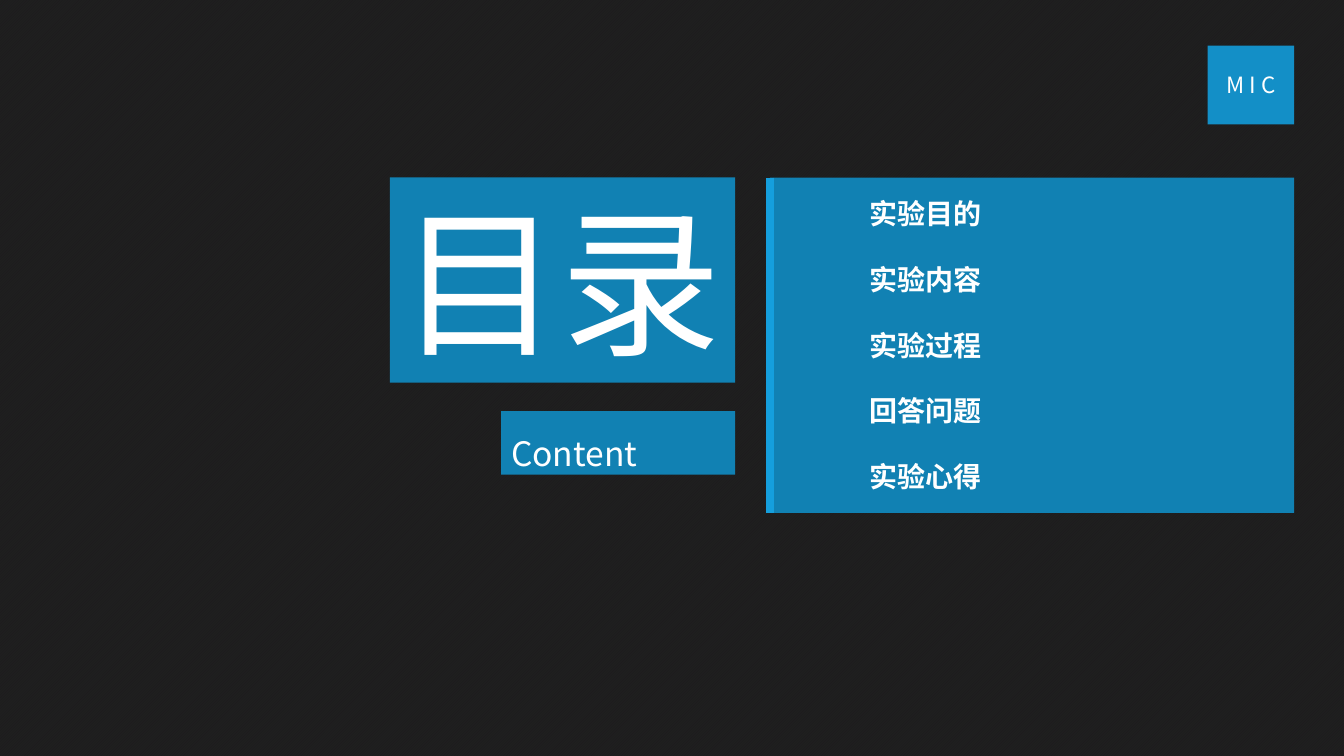
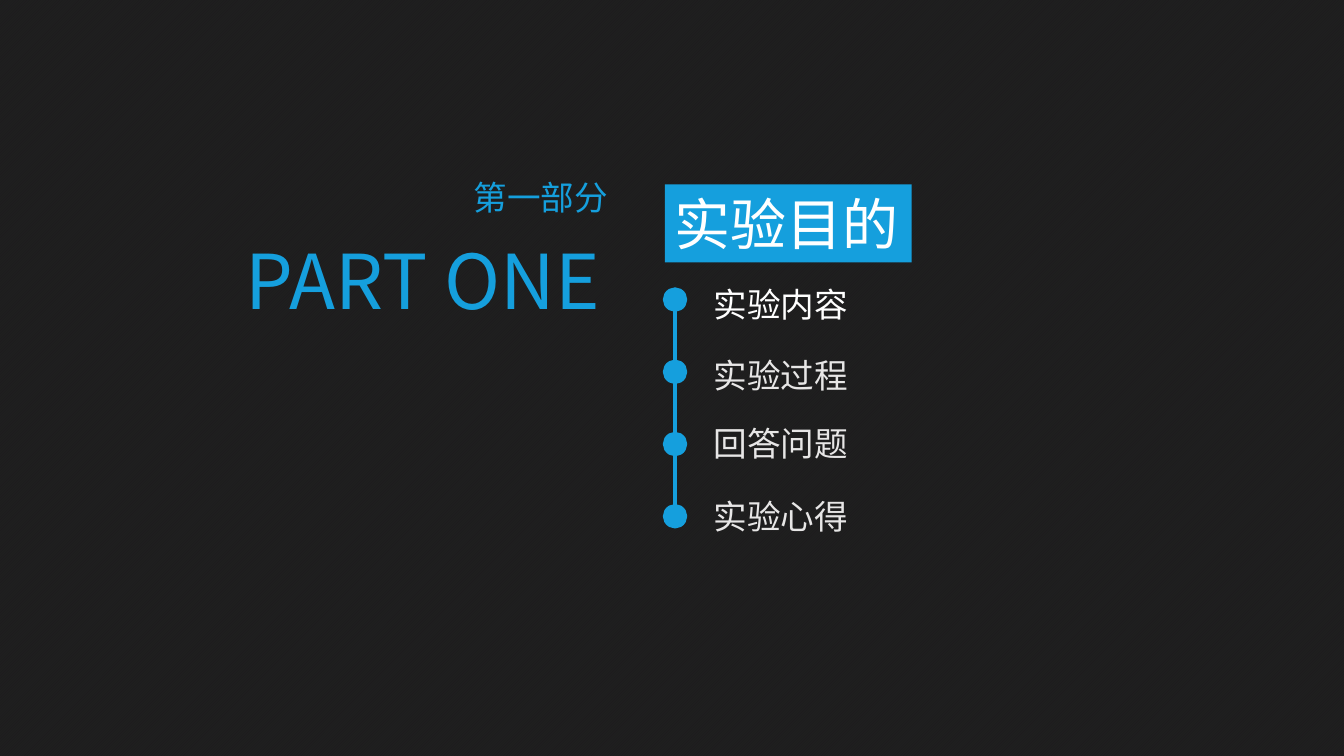
"""Builds a dark agenda slide and a section slide with a topic timeline."""
from dataclasses import dataclass

from lxml.etree import SubElement
from pptx import Presentation
from pptx.dml.color import RGBColor
from pptx.enum.dml import MSO_PATTERN as Pattern
from pptx.enum.shapes import MSO_CONNECTOR as Connector, MSO_SHAPE as Preset
from pptx.enum.text import MSO_ANCHOR as Anchor, PP_ALIGN as Align
from pptx.oxml.ns import qn
from pptx.util import Pt

FONT = "Noto Sans CJK SC"
WHITE, PALE, BLACK = "FFFFFF", "E7E6E6", "000000"
ACCENT, PANEL, BADGE = "159FDD", "1181B3", "138FC7"
PATTERN_FORE, PATTERN_BACK = "BFBFBF", "DDDCE2"
PAGE_WIDTH, PAGE_HEIGHT = 960, 540
SCRIM_OPACITY = 86


@dataclass(frozen=True)
class Frame:
    left: float
    top: float
    width: float
    height: float

    def lengths(self) -> tuple:
        return Pt(self.left), Pt(self.top), Pt(self.width), Pt(self.height)


@dataclass(frozen=True)
class Topic:
    label: str
    top: float
    color: str = PALE


AGENDA = ("实验目的", "实验内容", "实验过程", "回答问题", "实验心得")
AGENDA_TOP, AGENDA_PITCH = 136.8, 47
TOPICS = (
    Topic("实验内容", 199.4, WHITE),
    Topic("实验过程", 249.8),
    Topic("回答问题", 298.8),
    Topic("实验心得", 350.6),
)
DOT_LEFT, DOT_TOP, DOT_SIZE, DOT_PITCH = 475, 206.8, 14.4, 51.6


def rgb(color: str) -> RGBColor:
    return RGBColor.from_string(color)


def write(box, text: str, *, size: float, color: str = WHITE, bold: bool = False,
          align=Align.LEFT, anchor=Anchor.TOP, spacing: float = 1.0,
          wrap: bool = False) -> None:
    frame = box.text_frame
    frame.word_wrap = wrap
    frame.vertical_anchor = anchor
    para = frame.paragraphs[0]
    para.alignment = align
    para.line_spacing = spacing
    span = para.add_run()
    span.text = text
    span.font.size = Pt(size)
    span.font.bold = bold
    span.font.name = FONT
    span.font.color.rgb = rgb(color)
    SubElement(span.font._element, qn("a:ea"), typeface=FONT)


def add_label(page, frame: Frame, text: str, **style) -> None:
    write(page.shapes.add_textbox(*frame.lengths()), text, **style)


def add_block(page, frame: Frame, fill: str, preset=Preset.RECTANGLE, outline: float = 0):
    block = page.shapes.add_shape(preset, *frame.lengths())
    block.shadow.inherit = False
    block.fill.solid()
    block.fill.fore_color.rgb = rgb(fill)
    if outline:
        block.line.color.rgb = rgb(fill)
        block.line.width = Pt(outline)
    else:
        block.line.fill.background()
    return block


def add_vertical_line(page, x: float, top: float, bottom: float, width: float) -> None:
    line = page.shapes.add_connector(Connector.STRAIGHT, Pt(x), Pt(top), Pt(x), Pt(bottom))
    line.line.color.rgb = rgb(ACCENT)
    line.line.width = Pt(width)
    SubElement(line._element.spPr, qn("a:effectLst"))


def style_master(deck) -> None:
    fill = deck.slide_master.background.fill
    fill.patterned()
    fill.pattern = Pattern.LIGHT_UPWARD_DIAGONAL
    fill.fore_color.rgb = rgb(PATTERN_FORE)
    fill.back_color.rgb = rgb(PATTERN_BACK)


def add_page(deck):
    page = deck.slides.add_slide(deck.slide_layouts[6])
    scrim = add_block(page, Frame(0, 0, PAGE_WIDTH, PAGE_HEIGHT), BLACK)
    tint = scrim._element.spPr.find(f"{qn('a:solidFill')}/{qn('a:srgbClr')}")
    SubElement(tint, qn("a:alpha"), val=str(SCRIM_OPACITY * 1000))
    return page


def build_agenda(deck) -> None:
    page = add_page(deck)
    panel = Frame(550, 126.8, 374.4, 239.6)
    add_block(page, panel, PANEL)
    title = add_block(page, Frame(278.6, 126.8, 246.6, 146.6), PANEL)
    write(title, "目录", size=115)
    subtitle = add_block(page, Frame(358, 293.6, 167.2, 45.4), PANEL)
    write(subtitle, "Content", size=24, align=Align.JUSTIFY, anchor=Anchor.MIDDLE,
          spacing=1.5, wrap=True)
    add_vertical_line(page, panel.left, panel.top, panel.top + panel.height, 6)
    for row, label in enumerate(AGENDA):
        top = AGENDA_TOP + row * AGENDA_PITCH
        add_label(page, Frame(614.2, top, 95, 31.6), label, size=20, bold=True)
    badge = add_block(page, Frame(862.6, 32.6, 61.8, 56.2), BADGE)
    write(badge, "M I C", size=16, align=Align.CENTER, anchor=Anchor.MIDDLE, wrap=True)


def build_section(deck) -> None:
    page = add_page(deck)
    last_top = DOT_TOP + (len(TOPICS) - 1) * DOT_PITCH
    add_vertical_line(page, DOT_LEFT + DOT_SIZE / 2, DOT_TOP, last_top + DOT_SIZE, 3)
    for row, topic in enumerate(TOPICS):
        dot = Frame(DOT_LEFT, DOT_TOP + row * DOT_PITCH, DOT_SIZE, DOT_SIZE)
        add_block(page, dot, ACCENT, Preset.OVAL, outline=3)
        add_label(page, Frame(502.6, topic.top, 111.6, 36), topic.label,
                  size=24, color=topic.color)
    heading = add_block(page, Frame(475, 131.6, 176.2, 55.8), ACCENT)
    write(heading, "实验目的", size=40)
    add_label(page, Frame(168.6, 163.4, 274.4, 72.8), "PART ONE", size=54, color=ACCENT)
    add_label(page, Frame(331.2, 122.6, 111.6, 36), "第一部分", size=24, color=ACCENT)


def main() -> None:
    deck = Presentation()
    deck.slide_width, deck.slide_height = Pt(PAGE_WIDTH), Pt(PAGE_HEIGHT)
    style_master(deck)
    build_agenda(deck)
    build_section(deck)
    deck.save("out.pptx")


if __name__ == "__main__":
    main()
